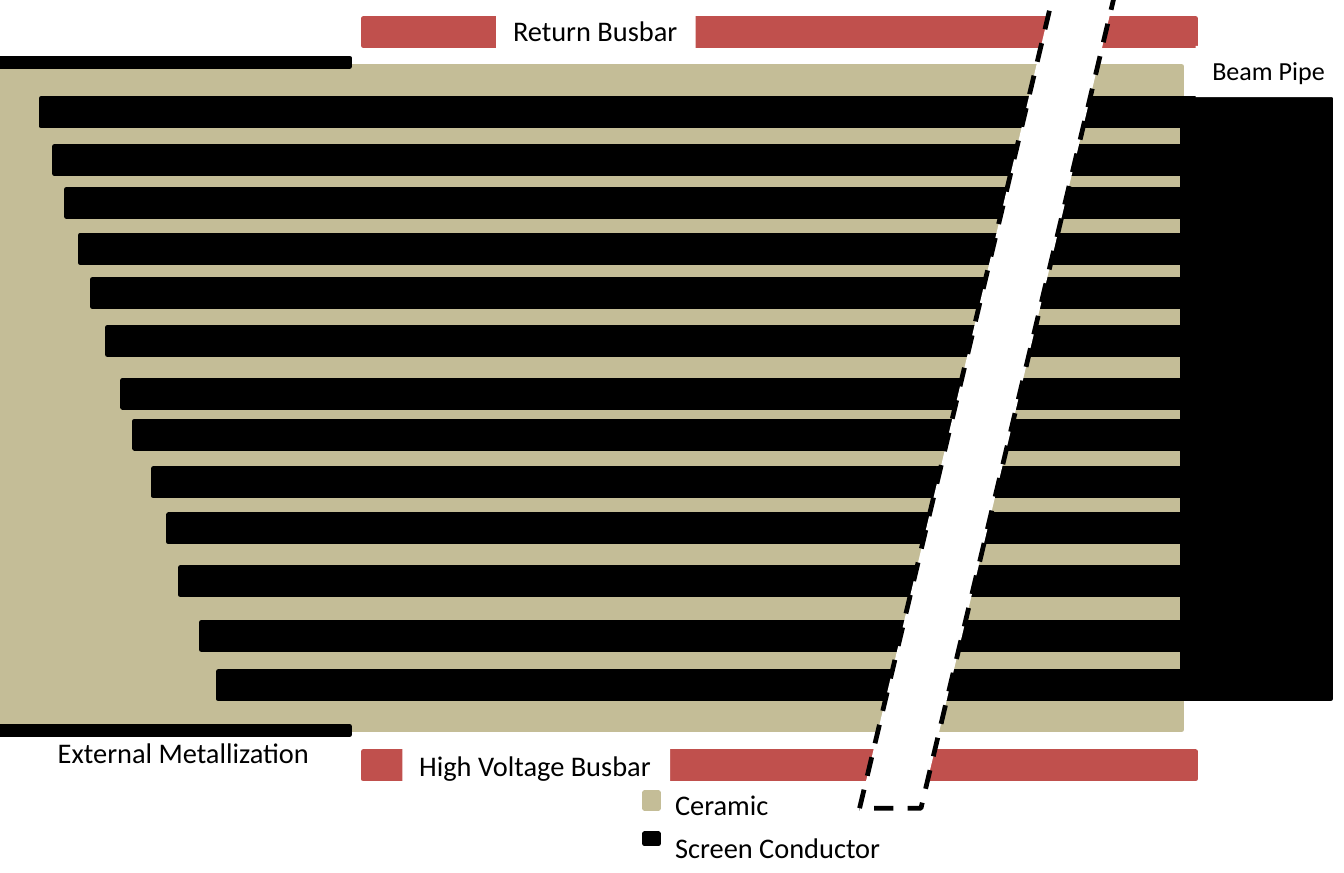
"""Draw the screen conductors, busbars and beam pipe on a ceramic chamber."""
from pptx import Presentation, util as u
from pptx.dml.color import RGBColor
from pptx.enum import dml, shapes, text

CELL = u.Inches(0.01)
COLUMNS, ROWS = 788, 512
CERAMIC, CONDUCTOR, BUSBAR, PAPER = "C4BD97", "000000", "C0504D", "FFFFFF"
BAR_HEIGHT, LABEL_HEIGHT = 16, 30

deck = Presentation()
deck.slide_width, deck.slide_height = COLUMNS * CELL, ROWS * CELL
slide = deck.slides.add_slide(deck.slide_layouts[6])


def draw(left, top, width, height, fill, line, kind=shapes.MSO_SHAPE.RECTANGLE):
    part = slide.shapes.add_shape(kind, *(n * CELL for n in (left, top, width, height)))
    part.shadow.inherit = False
    part.fill.solid()
    part.fill.fore_color.rgb = RGBColor.from_string(fill)
    part.line.color.rgb = RGBColor.from_string(line)
    part.line.width = u.Pt(2)
    return part


def label(left, top, width, wording, size=12, fill=None):
    caption = slide.shapes.add_textbox(*(n * CELL for n in (left, top, width, LABEL_HEIGHT)))
    if fill:
        caption.fill.solid()
        caption.fill.fore_color.rgb = RGBColor.from_string(fill)
    frame = caption.text_frame
    frame.text = wording
    frame.word_wrap = False
    frame.auto_size = text.MSO_AUTO_SIZE.SHAPE_TO_FIT_TEXT
    font = frame.paragraphs[0].runs[0].font
    font.name, font.size = "Calibri", u.Pt(size)
    font.color.rgb = RGBColor.from_string(CONDUCTOR)


draw(0, 39, 693, 389, CERAMIC, CERAMIC)

pipe_left, pipe_width = 693, 87
draw(pipe_left, 58, pipe_width, 352, CONDUCTOR, CONDUCTOR)
conductor_starts = [
    (24, 58), (32, 86), (39, 111), (47, 138), (54, 164), (63, 192), (72, 223),
    (79, 247), (90, 275), (99, 302), (106, 333), (118, 365), (128, 394),
]
for left, top in conductor_starts:
    draw(left, top, pipe_left - left, BAR_HEIGHT, CONDUCTOR, CONDUCTOR)

for busbar_top in (11, 441):
    draw(213, busbar_top, 488, BAR_HEIGHT, BUSBAR, BUSBAR)
for metallization_top in (34, 426):
    draw(0, metallization_top, 205, 5, CONDUCTOR, CONDUCTOR)

label(291, 3, 117, "Return Busbar", fill=PAPER)
label(236, 434, 157, "High Voltage Busbar", fill=PAPER)
label(701, 27, 87, "Beam Pipe", size=11, fill=PAPER)
label(24, 426, 169, "External Metallization")

legend = [
    ("Ceramic", CERAMIC, 465, 9, 457, 76),
    ("Screen Conductor", CONDUCTOR, 489, 6, 482, 142),
]
for wording, color, key_top, key_height, label_top, label_width in legend:
    draw(378, key_top, 8, key_height, color, color)
    label(386, label_top, label_width, wording)

length_break = draw(504, -5, 150, 479, PAPER, CONDUCTOR, shapes.MSO_SHAPE.PARALLELOGRAM)
length_break.adjustments[0] = 0.76
length_break.line.dash_style = dml.MSO_LINE.DASH

deck.save("out.pptx")
